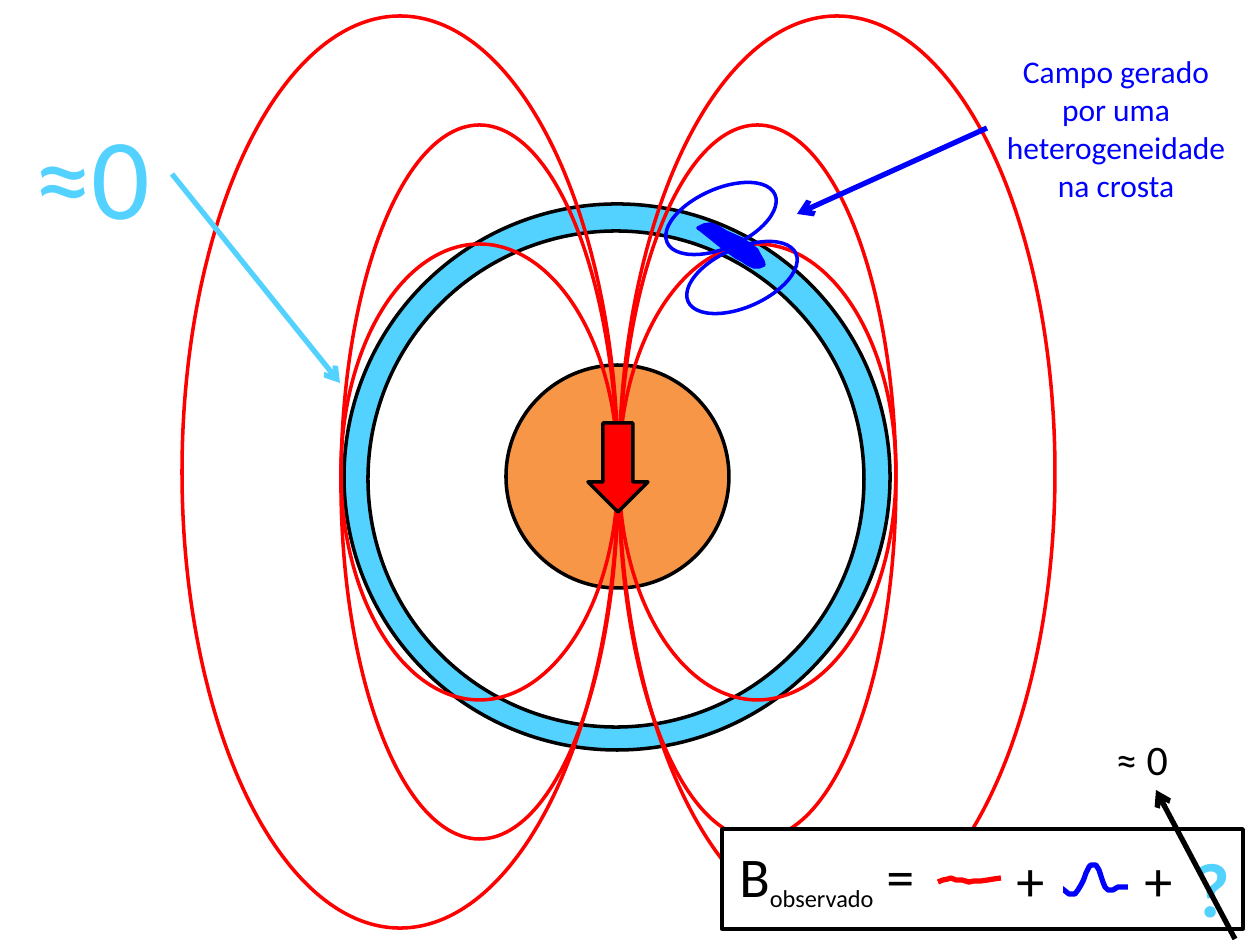
"""Slide on the crustal contribution to the observed magnetic field."""
from pptx import Presentation
from pptx.dml.color import RGBColor
from pptx.enum.shapes import MSO_CONNECTOR as Connector, MSO_SHAPE as Shape
from pptx.enum.text import PP_ALIGN as Align
from pptx.oxml.ns import qn
from pptx.util import Pt
from lxml.etree import SubElement

PX = 914400 / 126
BLACK = RGBColor(0x00, 0x00, 0x00)
WHITE = RGBColor(0xFF, 0xFF, 0xFF)
RED = RGBColor(0xFF, 0x00, 0x00)
BLUE = RGBColor(0x00, 0x00, 0xFF)
SKY = RGBColor(0x53, 0xD2, 0xFF)
ORANGE = RGBColor(0xF7, 0x96, 0x46)

AXIS = 618
EARTH_LAYERS = [(344, 204, 546, SKY), (368, 231, 496, WHITE), (506, 365, 223, ORANGE)]
FIELD_LOOPS = [(277, 125, 714), (277, 244, 456), (436, 16, 912)]
ANOMALY_LOOPS = [(662, 189), (683, 248)]
CRUST_BODY = [(698, 228), (704, 225), (711, 224), (718, 227), (726, 232), (735, 236),
              (742, 239), (752, 246), (757, 250), (760, 256), (763, 261), (764, 265),
              (759, 267), (754, 267), (748, 264), (742, 260), (736, 257), (721, 246),
              (706, 234), (701, 230)]
FLAT_SIGNAL = [(938, 882), (943, 880), (948, 879), (951, 878), (956, 880), (962, 880),
               (969, 882), (974, 881), (981, 881), (988, 880), (994, 879), (1001, 878)]
PEAK_SIGNAL = [(1048, 887), (1054, 886), (1060, 887), (1064, 890), (1069, 894), (1075, 894),
               (1078, 890), (1081, 885), (1084, 879), (1086, 873), (1089, 867), (1091, 865),
               (1096, 865), (1099, 870), (1101, 876), (1103, 882), (1105, 887), (1108, 890),
               (1113, 890), (1118, 887), (1123, 887), (1128, 887)]


class Canvas:
    """Holds the style and the current slide."""

    font = "Calibri"

    def __init__(self, deck):
        self.slide = deck.slides.add_slide(deck.slide_layouts[6])
        self.shapes = self.slide.shapes

    def emu(self, *lengths):
        return [round(length * PX) for length in lengths]

    def paint(self, item, fill, line, width):
        item.shadow.inherit = False
        if fill is None:
            item.fill.background()
        else:
            item.fill.solid()
            item.fill.fore_color.rgb = fill
        item.line.color.rgb = line
        item.line.width = Pt(width)

    def shape(self, kind, box, line, fill=None, rotation=0):
        item = self.shapes.add_shape(kind, *self.emu(*box))
        item.rotation = rotation
        self.paint(item, fill, line, 2)

    def outline(self, points, line, fill, width=3, close=False):
        builder = self.shapes.build_freeform(*points[0], scale=PX)
        builder.add_line_segments(points[1:], close=close)
        self.paint(builder.convert_to_shape(), fill, line, width)

    def arrow(self, start, end, color):
        item = self.shapes.add_connector(Connector.STRAIGHT, *self.emu(*start, *end))
        item.line.color.rgb = color
        item.line.width = Pt(3)
        SubElement(item.line._get_or_add_ln(), qn("a:tailEnd"), type="arrow")
        SubElement(item._element.spPr, qn("a:effectLst"))

    def text(self, box, runs, color, align=Align.CENTER, fill=None, bold=False):
        item = self.shapes.add_textbox(*self.emu(*box))
        if fill is not None:
            item.fill.solid()
            item.fill.fore_color.rgb = fill
        item.text_frame.word_wrap = True
        paragraph = item.text_frame.paragraphs[0]
        paragraph.alignment = align
        for words, size, baseline in runs:
            run = paragraph.add_run()
            run.text = words
            run.font.name = self.font
            run.font.size = Pt(size)
            run.font.bold = bold
            run.font.color.rgb = color
            if baseline:
                run._r.get_or_add_rPr().set("baseline", str(baseline * 1000))


def draw_earth(canvas):
    """Draw the layers, the dipole field and the crustal anomaly."""
    for left, top, size, fill in EARTH_LAYERS:
        canvas.shape(Shape.OVAL, (left, top, size, size), BLACK, fill)
    for width, top, height in FIELD_LOOPS:
        for left in (AXIS - width, AXIS + 1):
            canvas.shape(Shape.OVAL, (left, top, width, height), RED)
    canvas.shape(Shape.DOWN_ARROW, (588, 423, 60, 89), BLACK, RED)
    canvas.outline(CRUST_BODY, BLUE, BLUE, width=2, close=True)
    for left, top in ANOMALY_LOOPS:
        canvas.shape(Shape.OVAL, (left, top, 118, 59), BLUE, rotation=336)


def draw_labels(canvas):
    """Draw the two callouts beside the Earth."""
    canvas.arrow((987, 128), (797, 214), BLUE)
    canvas.text((987, 46, 258, 165),
                [("Campo gerado por uma heterogeneidade na crosta", 18, 0)], BLUE)
    canvas.text((13, 98, 159, 152), [("≈0", 66, 0)], SKY)
    canvas.arrow((172, 174), (340, 383), SKY)


def draw_equation(canvas):
    """Draw the boxed sum of field contributions."""
    canvas.shape(Shape.RECTANGLE, (722, 829, 521, 100), BLACK, WHITE)
    canvas.text((727, 835, 297, 81), [("B", 32, 0), ("observado", 24, -25), (" =", 32, 0)],
                BLACK, Align.LEFT, WHITE)
    canvas.outline(FLAT_SIGNAL, RED, WHITE)
    canvas.outline(PEAK_SIGNAL, BLUE, WHITE)
    canvas.text((1182, 834, 49, 79), [("?", 44, 0)], SKY, bold=True)
    for left in (1004, 1132):
        canvas.text((left, 839, 59, 81), [("+", 32, 0)], BLACK, Align.LEFT, WHITE)
    canvas.arrow((1235, 939), (1156, 790), BLACK)
    canvas.text((1102, 727, 80, 63), [("≈ 0", 24, 0)], BLACK)


def main():
    """Build and save the slide."""
    deck = Presentation()
    deck.slide_width, deck.slide_height = round(1260 * PX), round(945 * PX)
    canvas = Canvas(deck)
    draw_earth(canvas)
    draw_labels(canvas)
    draw_equation(canvas)
    deck.save("out.pptx")


if __name__ == "__main__":
    main()
